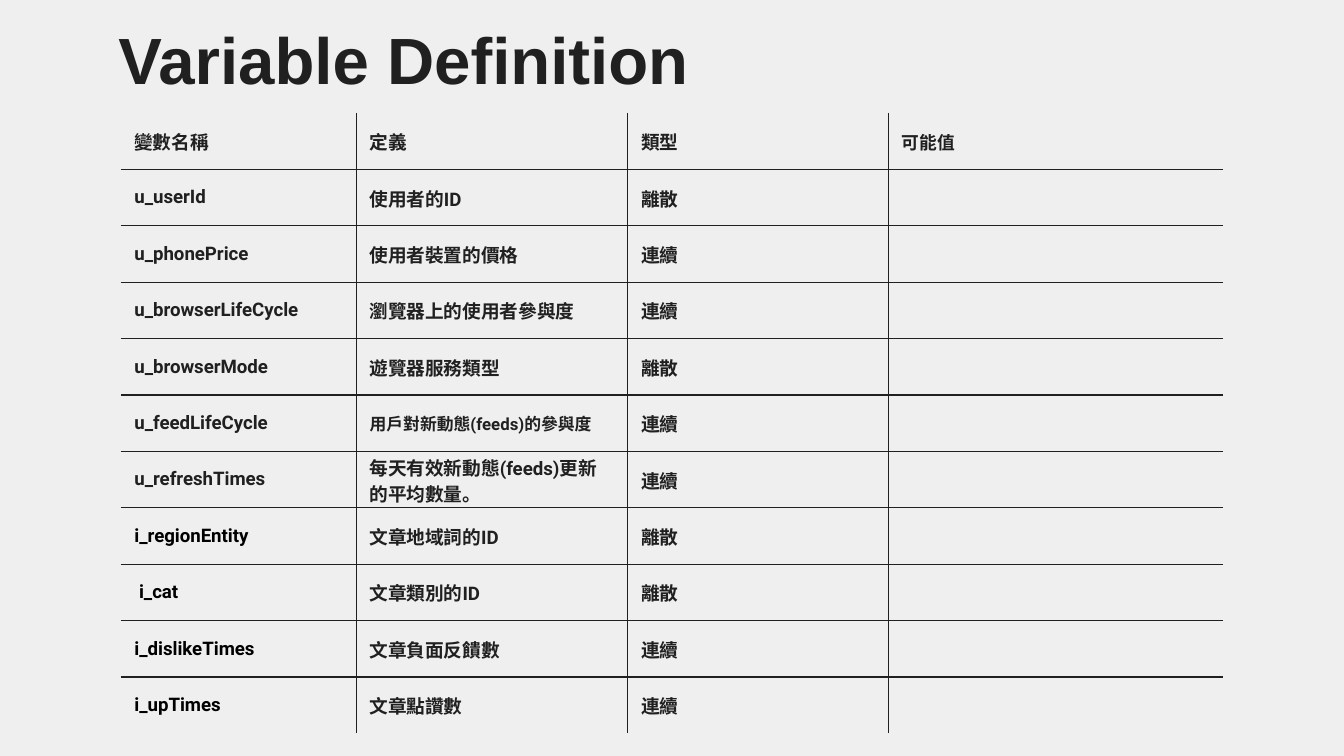
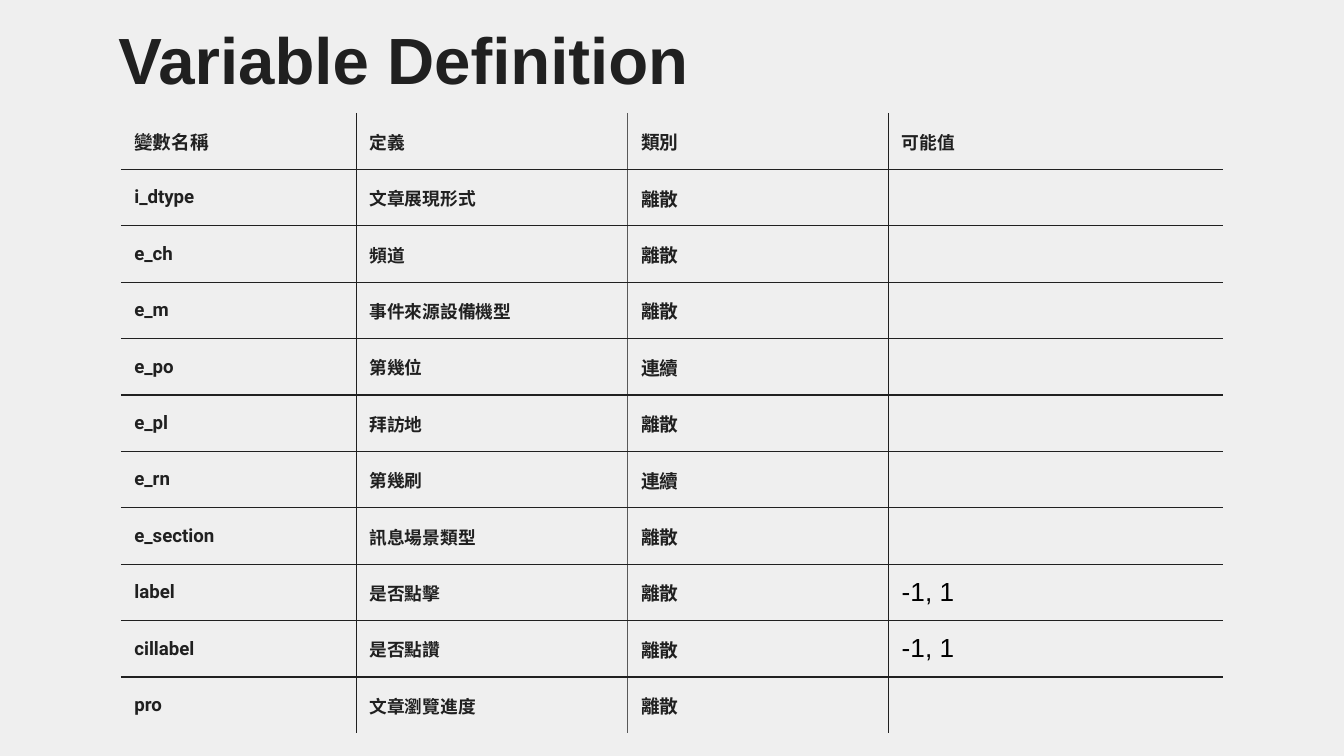
from lxml.etree import SubElement
from pptx import Presentation
from pptx.dml.color import RGBColor
from pptx.enum.text import MSO_ANCHOR, MSO_AUTO_SIZE, PP_ALIGN
from pptx.oxml.ns import qn
from pptx.util import Inches, Pt

COLORS = {"background": "EFEFEF", "ink": "202020", "black": "000000", "grey": "595959"}
TITLE = {"name": "Arial", "size": Pt(35), "bold": True}
LABEL = {"name": "Roboto", "size": Pt(10), "bold": True}
VALUE = {"name": "Arial", "size": Pt(14), "bold": False}
TITLE_BOX = {"left": 0.78, "top": 0.14, "width": 8.44, "height": 0.63}
TITLE_INSETS = {"margin_left": 0.1, "margin_top": 0, "margin_right": 0.1, "margin_bottom": 0.1}
CELL_INSETS = {"margin_left": 0.1, "margin_top": 0, "margin_right": 0.1, "margin_bottom": 0}
COLUMNS = [1.75, 2.02, 1.94, 2.49]
ROW_HEIGHT = 0.42
TABLE_LEFT, TABLE_TOP = 0.9, 0.84
PLAIN_TABLE = "{2D5ABB26-0587-4C30-8999-92F81FD0307C}"

# Each page: rows, definition size, colour of the line between definition and type
PAGES = [
    {
        "definition_size": 10,
        "middle_line": "ink",
        "rows": [
            ("變數名稱", "定義", "類型", "可能值"),
            ("u_userId", "使用者的ID", "離散", ""),
            ("u_phonePrice", "使用者裝置的價格", "連續", ""),
            ("u_browserLifeCycle", "瀏覽器上的使用者參與度", "連續", ""),
            ("u_browserMode", "遊覽器服務類型", "離散", ""),
            ("u_feedLifeCycle", "用戶對新動態(feeds)的參與度", "連續", ""),
            ("u_refreshTimes", "每天有效新動態(feeds)更新的平均數量。", "連續", ""),
            ("i_regionEntity", "文章地域詞的ID", "離散", ""),
            (" i_cat", "文章類別的ID", "離散", ""),
            ("i_dislikeTimes", "文章負面反饋數", "連續", ""),
            ("i_upTimes", "文章點讚數", "連續", ""),
        ],
        "black_from": 7,
        "small_cell": (5, 1),
    },
    {
        "definition_size": 9.5,
        "middle_line": "grey",
        "rows": [
            ("變數名稱", "定義", "類別", "可能值"),
            ("i_dtype", "文章展現形式", "離散", ""),
            ("e_ch", "頻道", "離散", ""),
            ("e_m", "事件來源設備機型", "離散", ""),
            ("e_po", "第幾位", "連續", ""),
            ("e_pl", "拜訪地", "離散", ""),
            ("e_rn", "第幾刷", "連續", ""),
            ("e_section", "訊息場景類型", "離散", ""),
            ("label", "是否點擊", "離散", "-1, 1"),
            ("cillabel", "是否點讚", "離散", "-1, 1"),
            ("pro", "文章瀏覽進度", "離散", ""),
        ],
        "black_from": None,
        "small_cell": None,
    },
]


def write(paragraph, text, style, color):
    run = paragraph.add_run()
    run.text = text
    for name, value in style.items():
        setattr(run.font, name, value)
    run.font.color.rgb = RGBColor.from_string(COLORS[color])
    SubElement(run.font._element, qn("a:ea"), typeface=style["name"])


def add_border(cell, side, color):
    """Draw one side of a cell, or clear it when color is None."""
    line = SubElement(cell._tc.get_or_add_tcPr(), qn(f"a:ln{side}"), w=str(Pt(0.75)))
    if color is None:
        SubElement(line, qn("a:noFill"))
    else:
        fill = SubElement(line, qn("a:solidFill"))
        SubElement(fill, qn("a:srgbClr"), val=COLORS[color])


presentation = Presentation()
presentation.slide_width, presentation.slide_height = Inches(10), Inches(10 * 9 / 16)
background = presentation.slide_master.background.fill
background.solid()
background.fore_color.rgb = RGBColor.from_string(COLORS["background"])

for page in PAGES:
    slide = presentation.slides.add_slide(presentation.slide_layouts[5])
    title = slide.shapes.title
    for name, value in TITLE_BOX.items():
        setattr(title, name, Inches(value))
    frame = title.text_frame
    for name, value in TITLE_INSETS.items():
        setattr(frame, name, Inches(value))
    frame.auto_size = MSO_AUTO_SIZE.NONE
    frame.vertical_anchor = MSO_ANCHOR.TOP
    frame.paragraphs[0].alignment = PP_ALIGN.LEFT
    write(frame.paragraphs[0], "Variable Definition", TITLE, "ink")

    rows = page["rows"]
    table_frame = slide.shapes.add_table(
        len(rows), len(COLUMNS), Inches(TABLE_LEFT), Inches(TABLE_TOP),
        Inches(sum(COLUMNS)), Inches(ROW_HEIGHT * len(rows)))
    table = table_frame.table
    table._tbl.tblPr.find(qn("a:tableStyleId")).text = PLAIN_TABLE
    table.first_row = table.horz_banding = False
    for column, width in zip(table.columns, COLUMNS):
        column.width = Inches(width)

    # Vertical lines from left edge to right edge; the outer edges stay open
    verticals = [None, "ink", page["middle_line"], "ink", None]
    for row_index, row in enumerate(rows):
        table.rows[row_index].height = Inches(ROW_HEIGHT)
        for column_index, text in enumerate(row):
            cell = table.cell(row_index, column_index)
            for name, value in CELL_INSETS.items():
                setattr(cell, name, Inches(value))
            cell.vertical_anchor = MSO_ANCHOR.MIDDLE
            borders = {
                "L": verticals[column_index],
                "R": verticals[column_index + 1],
                "T": "ink" if row_index > 0 else None,
                "B": "ink" if row_index < len(rows) - 1 else None,
            }
            for side, color in borders.items():
                add_border(cell, side, color)
            cell.fill.background()
            if not text:
                continue

            paragraph = cell.text_frame.paragraphs[0]
            if column_index == 3 and row_index > 0:
                write(paragraph, text, VALUE, "black")
                continue
            size = {1: page["definition_size"], 3: 9.5}.get(column_index, 10)
            if (row_index, column_index) == page["small_cell"]:
                size = 9
            black_from = page["black_from"]
            is_black = column_index == 0 and black_from is not None and row_index >= black_from
            paragraph.space_after = Pt(16)
            if column_index > 0 or row_index == 0:
                paragraph.line_spacing = 1.2
            write(paragraph, text, LABEL | {"size": Pt(size)}, "black" if is_black else "ink")

presentation.save("out.pptx")
